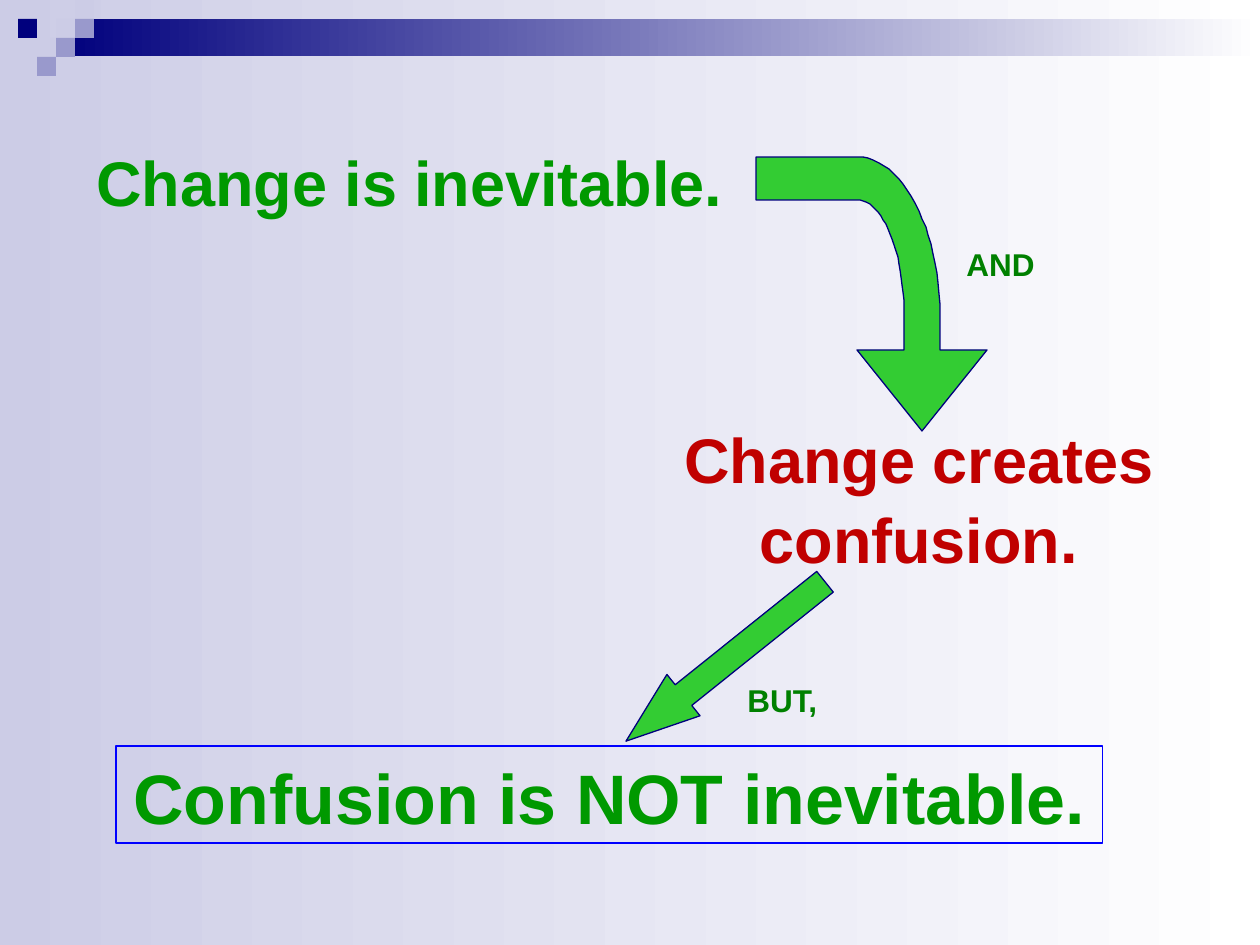
import pptx
import pptx.util
import pptx.dml.color
import pptx.enum.shapes
import pptx.enum.text

PX = 914400 // 126
SHAPE = pptx.enum.shapes.MSO_SHAPE
ALIGN = pptx.enum.text.PP_ALIGN
NAVY, PALE, LILAC, WHITE = "00007D", "CCCCE6", "9999CC", "FFFFFF"
GREEN, LIME, DARK, RED = "009900", "33CC33", "008000", "C00000"

UNIT = 19
BAR = (57, 19, 1203, 37)
TILES = [(2, 1, PALE), (3, 0, PALE), (3, 1, LILAC), (1, 2, PALE),
         (0, 1, NAVY), (2, 2, LILAC), (1, 3, LILAC)]
BEND = [[(922, 431)], [(987, 350)], [(940, 350)], [(940, 315)],
        [(940, 228), (902, 157), (857, 157)], [(756, 157)], [(756, 200)],
        [(857, 200)], [(883, 200), (904, 252), (904, 315)],
        [(904, 350)], [(857, 350)]]
ARROW = (699, 534, 53, 255)
LABELS = [
    ((84, 134, 683, 88), ["Change is inevitable."], 36, GREEN, ALIGN.LEFT, True),
    ((672, 411, 494, 164), ["Change creates", "confusion."], 36, RED, ALIGN.CENTER, True),
    ((954, 237, 93, 50), ["AND"], 18, DARK, ALIGN.LEFT, False),
    ((735, 673, 98, 50), ["BUT,"], 18, DARK, ALIGN.LEFT, False),
]
CLOSE = (116, 746, 987, 97)


def paint(hue):
    return pptx.dml.color.RGBColor.from_string(hue)


def emu(nums):
    return [n * PX for n in nums]


def blend(fill, hues):
    fill.gradient()
    fill.gradient_angle = 0
    for stop, hue, spot in zip(fill.gradient_stops, hues, (0, 1)):
        stop.color.rgb = paint(hue)
        stop.position = spot


def style(shape, hue=None, edge=None):
    shape.shadow.inherit = False
    if hue:
        shape.fill.solid()
        shape.fill.fore_color.rgb = paint(hue)
    else:
        shape.fill.background()
    if edge:
        shape.line.color.rgb = paint(edge)
        shape.line.width = pptx.util.Pt(0.75)
    else:
        shape.line.fill.background()


def write(shape, lines, size, hue, align, wrap):
    frame = shape.text_frame
    frame.word_wrap = wrap
    frame.auto_size = pptx.enum.text.MSO_AUTO_SIZE.SHAPE_TO_FIT_TEXT
    frame.text = "\n".join(lines)
    for para in frame.paragraphs:
        para.alignment = align
        para.line_spacing = 1.05
        font = para.font
        font.name, font.bold = "Arial", True
        font.size = pptx.util.Pt(size)
        font.color.rgb = paint(hue)


def trace(parts, steps=24):
    dots = []
    for part in parts:
        if len(part) == 1:
            dots += part
            continue
        ends = [dots[-1], *part]
        for i in range(1, steps + 1):
            t = i / steps
            mix = ((1 - t) ** 3, 3 * t * (1 - t) ** 2, 3 * t * t * (1 - t), t ** 3)
            dots.append(tuple(sum(m * p[k] for m, p in zip(mix, ends)) for k in (0, 1)))
    return dots


def main():
    """Build the slide on change and confusion."""
    deck = pptx.Presentation()
    deck.slide_width, deck.slide_height = emu((1260, 945))
    slide = deck.slides.add_slide(deck.slide_layouts[6])
    shapes = slide.shapes
    blend(slide.background.fill, (PALE, WHITE))

    bar = shapes.add_shape(SHAPE.RECTANGLE, *emu(BAR))
    style(bar)
    blend(bar.fill, (NAVY, WHITE))
    for col, row, hue in TILES:
        box = (18 + col * UNIT, row * UNIT, UNIT, UNIT)
        style(shapes.add_shape(SHAPE.RECTANGLE, *emu(box)), hue)

    dots = trace(BEND)
    pen = shapes.build_freeform(*dots[0], scale=PX)
    pen.add_line_segments(dots[1:], close=True)
    style(pen.convert_to_shape(), LIME, NAVY)

    arrow = shapes.add_shape(SHAPE.DOWN_ARROW, *emu(ARROW))
    arrow.adjustments[0], arrow.adjustments[1] = 0.5, 1.39
    arrow.rotation = 51.3
    style(arrow, LIME, NAVY)

    for box, *rest in LABELS:
        write(shapes.add_textbox(*emu(box)), *rest)
    close = shapes.add_shape(SHAPE.RECTANGLE, *emu(CLOSE))
    style(close, edge="0000FF")
    write(close, ["Confusion is NOT inevitable."], 40, GREEN, ALIGN.CENTER, False)
    deck.save("out.pptx")


if __name__ == "__main__":
    main()
